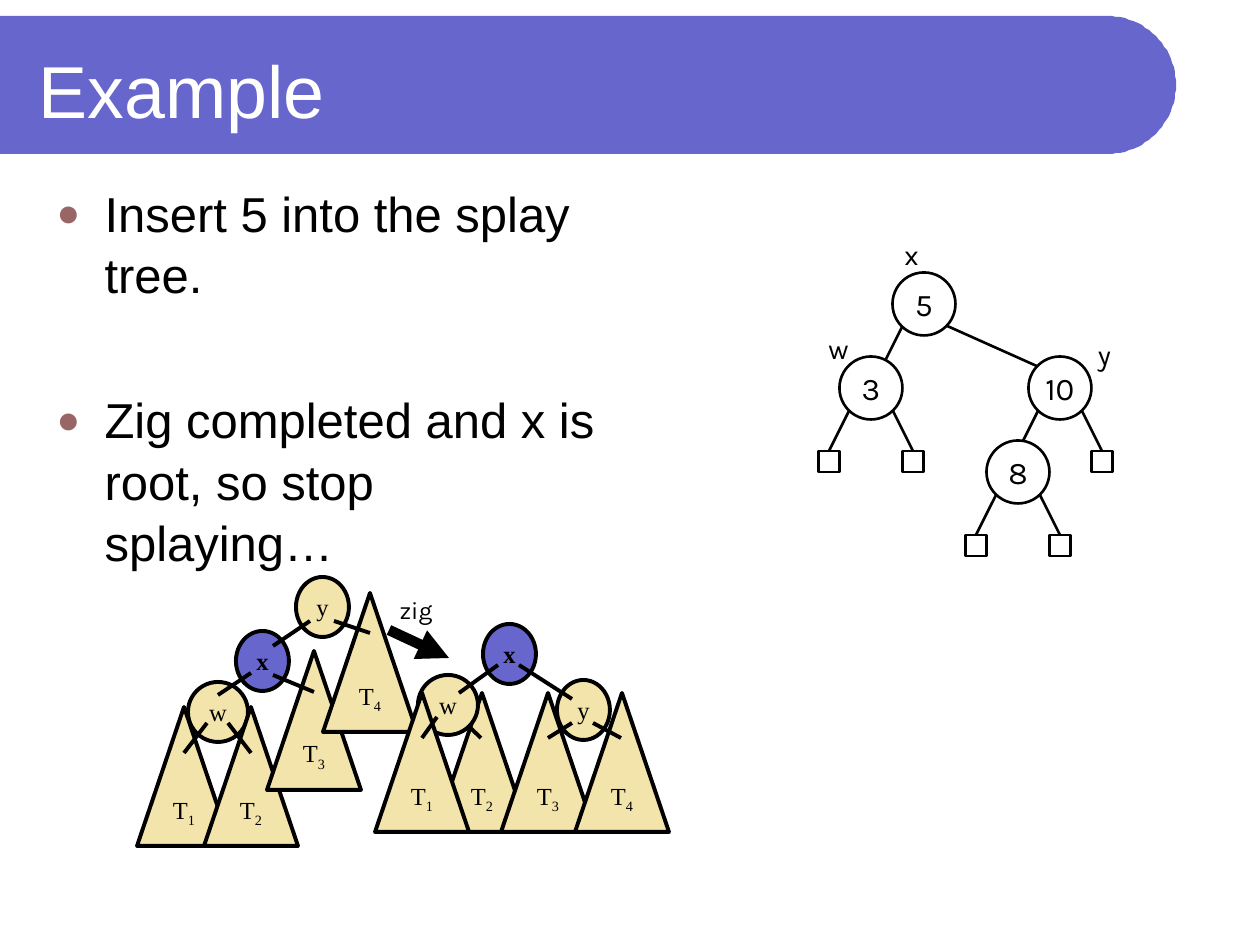
from dataclasses import dataclass
from math import cos, pi, sin

from lxml import etree
from pptx import Presentation
from pptx.dml.color import RGBColor
from pptx.enum.shapes import MSO_CONNECTOR, MSO_SHAPE
from pptx.enum.text import MSO_ANCHOR, MSO_AUTO_SIZE, PP_ALIGN
from pptx.oxml.ns import qn
from pptx.util import Pt

ELLIPSE, SQUARE, TRIANGLE = MSO_SHAPE.OVAL, MSO_SHAPE.RECTANGLE, MSO_SHAPE.ISOSCELES_TRIANGLE
STRAIGHT = MSO_CONNECTOR.STRAIGHT
LEFT, CENTER = PP_ALIGN.LEFT, PP_ALIGN.CENTER
TOP, MIDDLE = MSO_ANCHOR.TOP, MSO_ANCHOR.MIDDLE
SCALE = 914400 / 126  # EMU per px


@dataclass(frozen=True)
class Theme:
    accent: str = "6666CC"
    sand: str = "F2E4AA"
    bullet: str = "996666"
    ink: str = "000000"
    paper: str = "FFFFFF"
    main_font: str = "Arial"
    tree_font: str = "Karla"
    zig_font: str = "Times New Roman"
    title: int = 42
    body: int = 28
    key: int = 18
    tag: int = 16
    zig: int = 14
    thin: float = 1.5
    thick: float = 2.25
    arrow: int = 6


THEME = Theme()

# Content
TITLE = "Example"
BULLETS = ["Insert 5 into the splay tree.",
           "Zig completed and x is root, so stop splaying…"]

# Splay tree: key, centre x, centre y, run of right edge, sides ending in a leaf
TREE = [("5", 924, 304, 94, ""), ("3", 871, 388, 21, "LR"),
        ("10", 1060, 388, 21, "R"), ("8", 1018, 472, 21, "LR")]
TAGS = [("x", 892, 231, 39), ("y", 1085, 331, 39), ("w", 815, 325, 47)]

# Zig rotation, back to front: (name, left, top) or (x1, y1, x2, y2)
ZIG_BEFORE = [
    ("x", 236, 631), ("w", 188, 682),
    ("T_1", 137, 707), ("T_2", 204, 707), ("T_3", 267, 651),
    (251, 673, 218, 695), (207, 723, 184, 753), (228, 723, 251, 753), (273, 675, 314, 692),
    ("y", 296, 577), (310, 621, 273, 646),
    ("T_4", 323, 593), (334, 621, 370, 633),
]
ZIG_AFTER = [
    ("y", 557, 680), ("x", 483, 624),
    ("T_2", 435, 693), ("T_3", 501, 693), ("T_4", 575, 693),
    (572, 699, 519, 665), (459, 717, 481, 738), (572, 723, 548, 738), (593, 723, 621, 738),
    ("w", 418, 675), (459, 693, 498, 665),
    ("T_1", 375, 693), (437, 717, 422, 738),
]
ZIG_ARROW = (389, 630, 449, 658)


def px(*lengths):
    return [round(length * SCALE) for length in lengths]


def rgb(color):
    return RGBColor.from_string(color)


def write(frame, *lines, font=THEME.main_font, size, color=THEME.ink, bold=False,
          align=CENTER, anchor=MIDDLE, wrap=False):
    """Fill a text frame; an underscore starts a subscript."""
    frame.word_wrap = wrap
    frame.auto_size = MSO_AUTO_SIZE.NONE
    frame.vertical_anchor = anchor
    for i, line in enumerate(lines):
        paragraph = frame.add_paragraph() if i else frame.paragraphs[0]
        paragraph.alignment = align
        for level, part in enumerate(line.split("_")):
            run = paragraph.add_run()
            run.text = part
            run.font.name, run.font.size, run.font.bold = font, Pt(size), bold
            run.font.color.rgb = rgb(color)
            if level:
                run._r.get_or_add_rPr().set("baseline", "-25000")


def add_bullet(paragraph, indent):
    pPr = paragraph._p.get_or_add_pPr()
    pPr.set("marL", str(indent))
    pPr.set("indent", str(-indent))
    color = etree.SubElement(pPr, qn("a:buClr"))
    etree.SubElement(color, qn("a:srgbClr"), val=THEME.bullet)
    etree.SubElement(pPr, qn("a:buSzPct"), val="80000")
    etree.SubElement(pPr, qn("a:buFont"), typeface=THEME.main_font)
    etree.SubElement(pPr, qn("a:buChar"), char="●")


def place(shape, *box):
    shape.left, shape.top, shape.width, shape.height = px(*box)


def add_shape(shapes, kind, *box, fill=None, weight):
    shape = shapes.add_shape(kind, *px(*box))
    shape.shadow.inherit = False
    if fill:
        shape.fill.solid()
        shape.fill.fore_color.rgb = rgb(fill)
    else:
        shape.fill.background()
    shape.line.color.rgb = rgb(THEME.ink)
    shape.line.width = Pt(weight)
    return shape


def add_line(shapes, *ends, weight):
    line = shapes.add_connector(STRAIGHT, *px(*ends))
    line.line.color.rgb = rgb(THEME.ink)
    line.line.width = Pt(weight)
    etree.SubElement(line._element.spPr, qn("a:effectLst"))
    return line


def add_label(shapes, text, *box, size, anchor):
    label = shapes.add_textbox(*px(*box))
    write(label.text_frame, text, font=THEME.tree_font, size=size, anchor=anchor)


def add_banner(shapes):
    x, y, radius, steps = 1107, 85, 69, 48
    angles = [-pi / 2 + pi * i / steps for i in range(steps + 1)]
    outline = [(x + radius * cos(a), y + radius * sin(a)) for a in angles]
    builder = shapes.build_freeform(0, y - radius, scale=SCALE)
    builder.add_line_segments(outline + [(0, y + radius)], close=True)
    banner = builder.convert_to_shape()
    banner.shadow.inherit = False
    banner.fill.solid()
    banner.fill.fore_color.rgb = rgb(THEME.accent)
    banner.line.fill.background()
    shapes._spTree.insert(2, banner._element)  # behind the title


def add_tree(shapes):
    node, leaf, rise = 63, 21, 42
    for _, x, y, right_run, leaves in TREE:
        for side, sign, run in (("L", -1, 21), ("R", 1, right_run)):
            start, end, bottom = x + sign * 21, x + sign * (21 + run), y + 21 + rise
            add_line(shapes, start, y + 21, end, bottom, weight=THEME.thin)
            if side in leaves:
                add_shape(shapes, SQUARE, end - leaf / 2, bottom, leaf, leaf, weight=THEME.thin)
    for key, x, y, *_ in TREE:
        circle = add_shape(shapes, ELLIPSE, x - node / 2, y - node / 2, node, node,
                           fill=THEME.paper, weight=THEME.thin)
        write(circle.text_frame, key, font=THEME.tree_font, size=THEME.key)
    for tag, x, y, width in TAGS:
        add_label(shapes, tag, x, y, width, 47, size=THEME.tag, anchor=TOP)


def add_zig(shapes, parts):
    for part in parts:
        if len(part) == 4:
            add_line(shapes, *part, weight=THEME.thick)
            continue
        name, left, top = part
        is_x = name == "x"
        if name.startswith("T"):
            kind, size = TRIANGLE, (94, 139)
        else:
            kind, size = ELLIPSE, (60 if name == "w" else 53, 60)
        shape = add_shape(shapes, kind, left, top, *size,
                          fill=THEME.accent if is_x else THEME.sand, weight=THEME.thick)
        write(shape.text_frame, name, font=THEME.zig_font, size=THEME.zig, bold=is_x)


def main():
    deck = Presentation()
    deck.slide_width, deck.slide_height = px(1260, 945)
    slide = deck.slides.add_slide(deck.slide_layouts[1])
    shapes = slide.shapes
    title, body = slide.placeholders

    # Title and list
    add_banner(shapes)
    place(title, 26, 26, 1105, 126)
    write(title.text_frame, TITLE, size=THEME.title, color=THEME.paper, align=LEFT, wrap=True)
    place(body, 44, 175, 575, 725)
    write(body.text_frame, *BULLETS, size=THEME.body, align=LEFT, anchor=TOP, wrap=True)
    for i, paragraph in enumerate(body.text_frame.paragraphs):
        add_bullet(paragraph, *px(48))
        paragraph.line_spacing = 1.04
        paragraph.space_before = Pt(48 if i else 0)

    # Diagrams
    add_tree(shapes)
    add_label(shapes, "zig", 387, 588, 58, 43, size=THEME.zig, anchor=MIDDLE)
    add_zig(shapes, ZIG_BEFORE)
    add_zig(shapes, ZIG_AFTER)
    arrow = add_line(shapes, *ZIG_ARROW, weight=THEME.arrow)
    etree.SubElement(arrow.line._get_or_add_ln(), qn("a:tailEnd"), type="triangle")

    deck.save("out.pptx")


if __name__ == "__main__":
    main()
